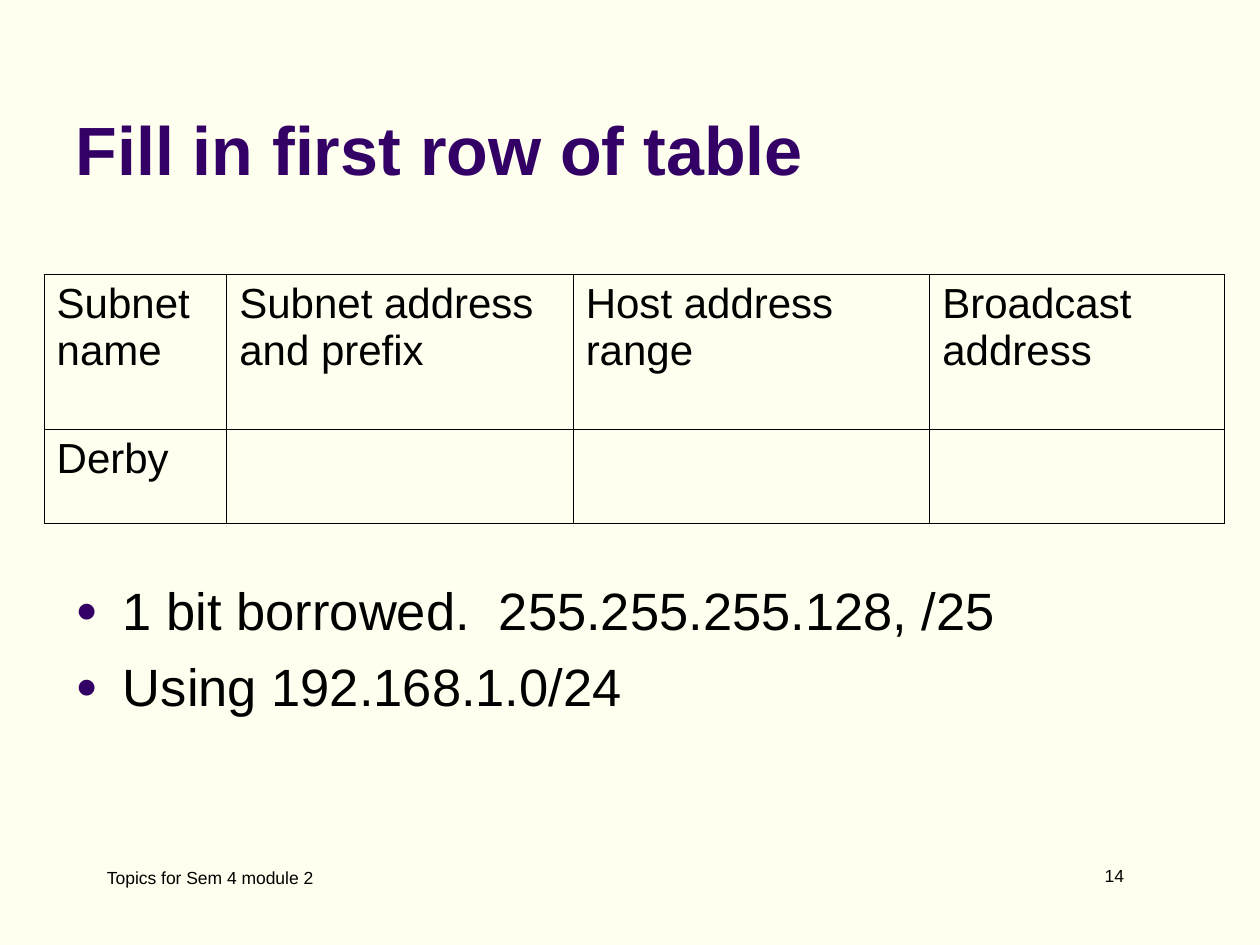
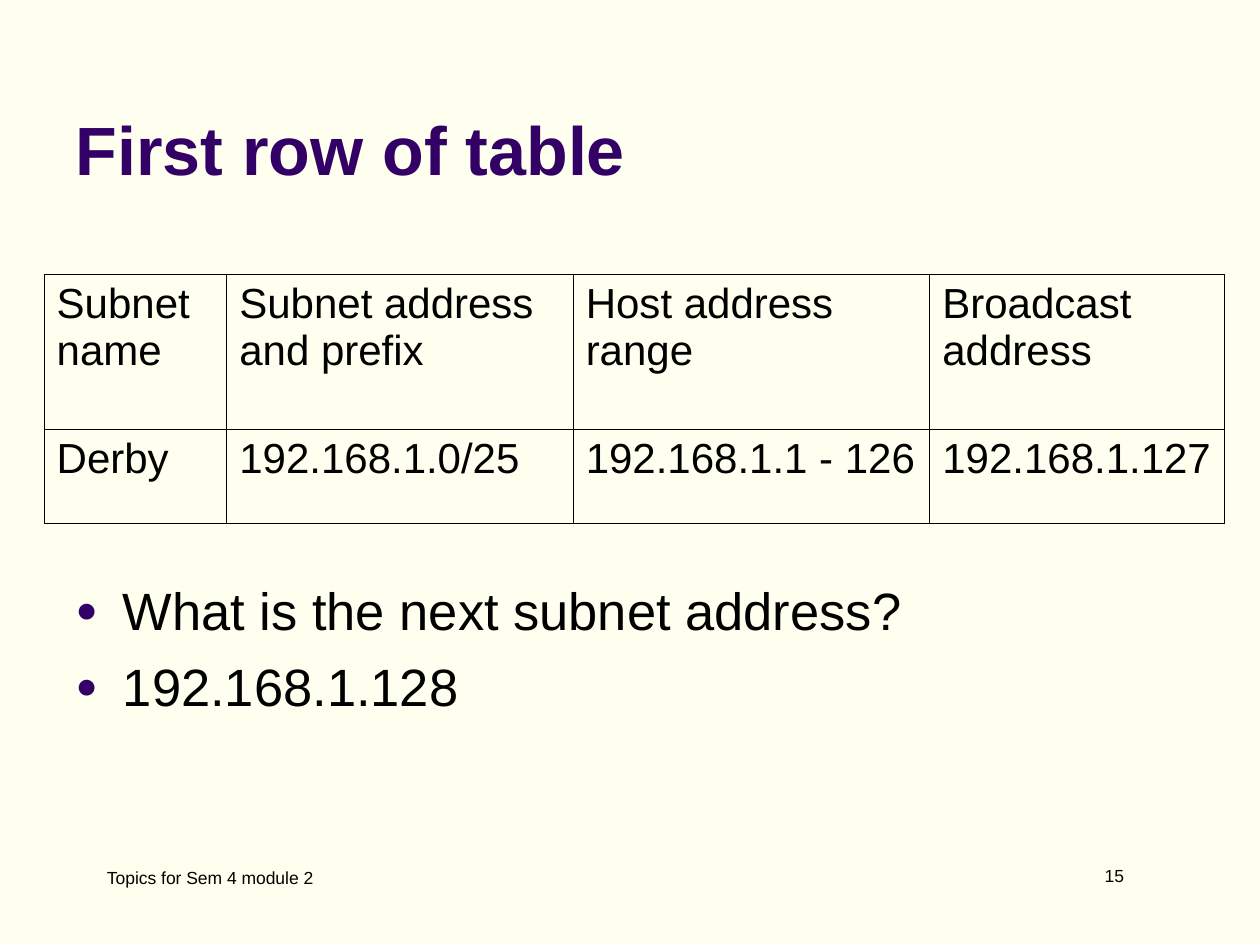
from lxml import etree
from pptx import Presentation
from pptx.dml.color import RGBColor
from pptx.enum.text import MSO_ANCHOR, MSO_AUTO_SIZE, PP_ALIGN
from pptx.oxml.ns import qn
from pptx.util import Pt

LEFT, RIGHT = PP_ALIGN.LEFT, PP_ALIGN.RIGHT
TOP, BOTTOM = MSO_ANCHOR.TOP, MSO_ANCHOR.BOTTOM
NO_FIT = MSO_AUTO_SIZE.NONE

FONT = "Arial"
COLORS = {"page": "FFFFEF", "title": "330066", "bullet": "330066",
          "text": "000000", "border": "000000"}

# Boxes shared by the slides: left, top, width, height in points
TITLE_BOX = (36, 9.36, 594, 102.24)
TABLE_BOX = (25.2, 156.96, 674.64, 141.84)
BODY_BOX = (36, 326.88, 648, 156.24)
FOOTER_BOX = (54, 491.76, 149.76, 36)
NUMBER_BOX = (501.84, 491.04, 147.6, 19.44)

COLUMN_WEIGHTS = (1.45, 2.75, 2.83, 2.34)
ROW_WEIGHTS = (1.23, 0.74)
HEADINGS = ("Subnet name", "Subnet address and prefix",
            "Host address range", "Broadcast address")
FOOTER = "Topics for Sem 4 module 2"

SLIDES = [
    {"number": 14, "title": "Fill in first row of table",
     "row": ("Derby", "", "", ""),
     "points": ("1 bit borrowed.  255.255.255.128, /25",
                "Using 192.168.1.0/24")},
    {"number": 15, "title": "First row of table",
     "row": ("Derby", "192.168.1.0/25", "192.168.1.1 - 126", "192.168.1.127"),
     "points": ("What is the next subnet address?", "192.168.1.128")},
]


def rgb(name):
    return RGBColor.from_string(COLORS[name])


def place(sp, box):
    sp.left, sp.top, sp.width, sp.height = (Pt(v) for v in box)


def set_frame(tf, anchor=TOP):
    tf.word_wrap = True
    tf.auto_size = NO_FIT
    tf.vertical_anchor = anchor
    tf.margin_left = tf.margin_right = Pt(7.2)
    tf.margin_top = tf.margin_bottom = Pt(3.6)


def add_run(p, text, size, color="text", bold=False):
    r = p.add_run()
    r.text = text
    r.font.name, r.font.size, r.font.bold = FONT, Pt(size), bold
    r.font.color.rgb = rgb(color)


def add_bullet(p):
    pPr = p._p.get_or_add_pPr()
    pPr.set("marL", str(Pt(27)))
    pPr.set("indent", str(-Pt(27)))
    color = etree.SubElement(pPr, qn("a:buClr"))
    etree.SubElement(color, qn("a:srgbClr"), val=COLORS["bullet"])
    etree.SubElement(pPr, qn("a:buSzPct"), val="70000")
    etree.SubElement(pPr, qn("a:buFont"), typeface=FONT)
    etree.SubElement(pPr, qn("a:buChar"), char="●")


def set_borders(cell):
    tcPr = cell._tc.get_or_add_tcPr()
    for i, side in enumerate(("a:lnL", "a:lnR", "a:lnT", "a:lnB")):
        ln = etree.Element(qn(side), w=str(Pt(0.45)))
        fill = etree.SubElement(ln, qn("a:solidFill"))
        etree.SubElement(fill, qn("a:srgbClr"), val=COLORS["border"])
        tcPr.insert(i, ln)


def fill_title(s, box, text):
    sp = s.shapes.title
    place(sp, box)
    set_frame(sp.text_frame, BOTTOM)
    p = sp.text_frame.paragraphs[0]
    p.alignment = LEFT
    add_run(p, text, 39, "title", bold=True)


def fill_body(s, box, points):
    sp = s.placeholders[1]
    place(sp, box)
    tf = sp.text_frame
    set_frame(tf)
    for i, text in enumerate(points):
        p = tf.add_paragraph() if i else tf.paragraphs[0]
        add_bullet(p)
        p.space_before = Pt(7.5 if i else 0)
        add_run(p, text, 30)


def add_subnet_table(s, box, rows):
    frame = s.shapes.add_table(len(rows), len(HEADINGS), *(Pt(v) for v in box))
    table = frame.table
    table.first_row = table.horz_banding = False
    # Share the box among columns and rows by weight
    for column, weight in zip(table.columns, COLUMN_WEIGHTS):
        column.width = Pt(box[2] * weight / sum(COLUMN_WEIGHTS))
    for row, weight in zip(table.rows, ROW_WEIGHTS):
        row.height = Pt(box[3] * weight / sum(ROW_WEIGHTS))
    for row, texts in zip(table.rows, rows):
        for cell, text in zip(row.cells, texts):
            cell.fill.background()
            set_borders(cell)
            if text:
                add_run(cell.text_frame.paragraphs[0], text, 24)


def add_label(s, box, text, align=LEFT):
    sp = s.shapes.add_textbox(*(Pt(v) for v in box))
    set_frame(sp.text_frame)
    p = sp.text_frame.paragraphs[0]
    p.alignment = align
    add_run(p, text, 10)


def build_slide(prs, content):
    s = prs.slides.add_slide(prs.slide_layouts[1])
    # Slide number, title and list, table, footer
    add_label(s, NUMBER_BOX, str(content["number"]), RIGHT)
    fill_title(s, TITLE_BOX, content["title"])
    fill_body(s, BODY_BOX, content["points"])
    add_subnet_table(s, TABLE_BOX, (HEADINGS, content["row"]))
    add_label(s, FOOTER_BOX, FOOTER)


def main():
    prs = Presentation()
    prs.slide_width, prs.slide_height = Pt(720), Pt(540)
    # Page colour for every slide
    fill = prs.slide_master.background.fill
    fill.solid()
    fill.fore_color.rgb = rgb("page")
    for content in SLIDES:
        build_slide(prs, content)
    prs.save("out.pptx")


if __name__ == "__main__":
    main()
